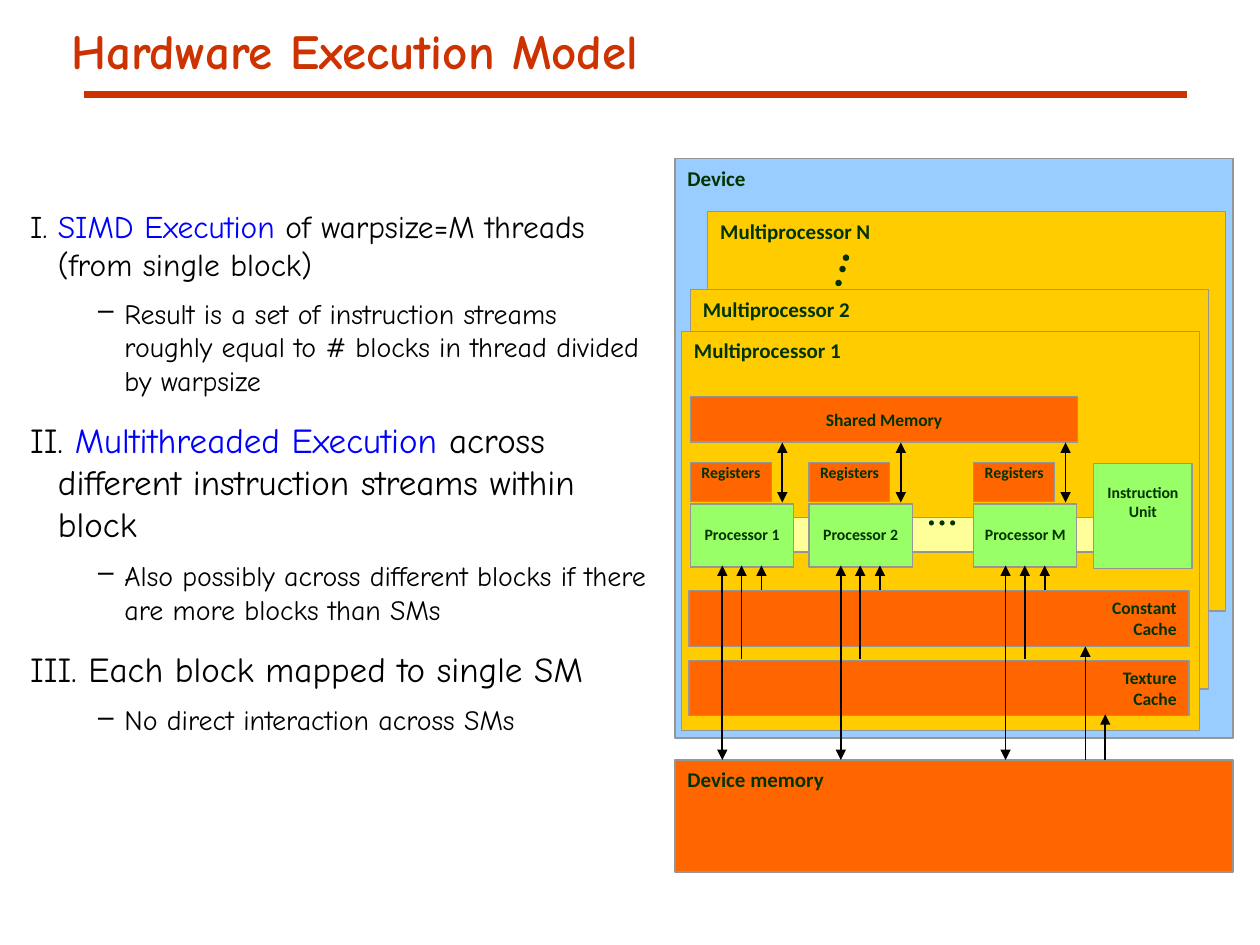
import dataclasses

import lxml.etree
import pptx
import pptx.dml.color
import pptx.enum.shapes
import pptx.enum.text
import pptx.oxml.ns
import pptx.util

Cm = pptx.util.Cm
Pt = pptx.util.Pt
Align = pptx.enum.text.PP_ALIGN
Shape = pptx.enum.shapes.MSO_SHAPE


@dataclasses.dataclass(frozen=True)
class Theme:
    accent: str = "CC3300"
    black: str = "000000"
    highlight: str = "0000FF"
    label: str = "003300"
    border: str = "969696"
    device: str = "99CCFF"
    multiprocessor: str = "FFCC00"
    memory: str = "FF6600"
    processor: str = "99FF66"
    bus: str = "FFFF99"
    text_font: str = "Comic Neue"
    label_font: str = "Calibri"
    ellipsis_font: str = "Times New Roman"
    title_size: int = 28
    first_topic_size: int = 18
    topic_size: int = 20
    detail_size: int = 16
    heading_size: int = 12
    memory_size: int = 10
    unit_size: int = 9
    ellipsis_size: int = 18


THEME = Theme()
HEADING_INSETS = (0.25, 0.13, 0.25, 0.13)


def rgb(value):
    return pptx.dml.color.RGBColor.from_string(value)


def add_xml(parent, tag, **attributes):
    return lxml.etree.SubElement(parent, pptx.oxml.ns.qn(tag), attributes)


def write_text(paragraph, text, *, size, font=THEME.text_font, color=THEME.black, bold=False):
    run = paragraph.add_run()
    run.text = text
    run.font.size = Pt(size)
    run.font.name = font
    run.font.bold = bold
    run.font.color.rgb = rgb(color)


def prepare_frame(shape, insets, anchor=pptx.enum.text.MSO_ANCHOR.TOP):
    frame = shape.text_frame
    frame.word_wrap = True
    frame.vertical_anchor = anchor
    frame.margin_left, frame.margin_top, frame.margin_right, frame.margin_bottom = map(Cm, insets)
    return frame


def add_text_box(slide, box, insets=(0, 0, 0, 0), **frame_format):
    return prepare_frame(slide.shapes.add_textbox(*map(Cm, box)), insets, **frame_format)


def add_block(slide, box, fill, label="", *, size=THEME.heading_size, align=Align.LEFT,
              insets=HEADING_INSETS, kind=Shape.RECTANGLE, border=THEME.border):
    shape = slide.shapes.add_shape(kind, *map(Cm, box))
    shape.shadow.inherit = False
    shape.fill.solid()
    shape.fill.fore_color.rgb = rgb(fill)
    if border:
        shape.line.color.rgb = rgb(border)
        shape.line.width = Pt(0.75)
    else:
        shape.line.fill.background()
    if not label:
        return
    frame = prepare_frame(shape, insets)
    for index, line in enumerate(label.split("\n")):
        paragraph = frame.add_paragraph() if index else frame.paragraphs[0]
        paragraph.alignment = align
        write_text(paragraph, line, size=size, font=THEME.label_font, color=THEME.label, bold=True)


def add_line(slide, start, end, *, color=THEME.black, width=1, ends=()):
    line = slide.shapes.add_connector(
        pptx.enum.shapes.MSO_CONNECTOR.STRAIGHT, *map(Cm, (*start, *end)))
    line.line.color.rgb = rgb(color)
    line.line.width = Pt(width)
    outline = line.line._get_or_add_ln()
    for end_name in ends:
        add_xml(outline, f"a:{end_name}", type="triangle")
    add_xml(line._element.spPr, "a:effectLst")


def add_arrow(slide, x, bottom, top, both=False):
    ends = ("headEnd", "tailEnd") if both else ("tailEnd",)
    add_line(slide, (x, bottom), (x, top), ends=ends)


def add_title(slide):
    add_line(slide, (1.7, 1.9), (23.93, 1.9), color=THEME.accent, width=3.75)
    frame = add_text_box(slide, (1.27, 0.48, 22.86, 1.22), (0.18, 0.08, 0.18, 0.08),
                         anchor=pptx.enum.text.MSO_ANCHOR.MIDDLE)
    frame.paragraphs[0].line_spacing = 0.87
    write_text(frame.paragraphs[0], "Hardware Execution Model",
               size=THEME.title_size, color=THEME.accent, bold=True)


def add_topic(paragraph, size, before, pieces):
    add_indent(paragraph, 0.56, -0.56)
    paragraph.space_before = Pt(before)
    for text, color in pieces:
        write_text(paragraph, text, size=size, color=color)


def add_detail(paragraph, text):
    properties = add_indent(paragraph, 1.9, -0.53)
    paragraph.level = 1
    paragraph.space_before = Pt(8)
    bullet_color = add_xml(properties, "a:buClr")
    add_xml(bullet_color, "a:srgbClr", val=THEME.black)
    add_xml(properties, "a:buChar", char="–")
    write_text(paragraph, text, size=THEME.detail_size)


def add_indent(paragraph, left, first):
    properties = paragraph._p.get_or_add_pPr()
    properties.set("marL", str(Cm(left)))
    properties.set("indent", str(Cm(first)))
    return properties


def add_outline(slide):
    topics = [
        (THEME.first_topic_size, 0,
         [("I. ", THEME.black), ("SIMD Execution ", THEME.highlight),
          ("of warpsize=M threads (from single block)", THEME.black)],
         "Result is a set of instruction streams roughly equal to # blocks in thread "
         "divided by warpsize"),
        (THEME.topic_size, 12.2,
         [("II. ", THEME.black), ("Multithreaded Execution ", THEME.highlight),
          ("across different instruction streams within block", THEME.black)],
         "Also possibly across different blocks if there are more blocks than SMs"),
        (THEME.topic_size, 12.2,
         [("III. Each block mapped to single SM", THEME.black)],
         "No direct interaction across SMs"),
    ]
    frame = add_text_box(slide, (0.43, 3.2, 12.9, 12.27), (0.18, 0.97, 0.18, 0.08))
    for index, (size, before, pieces, detail) in enumerate(topics):
        paragraph = frame.add_paragraph() if index else frame.paragraphs[0]
        add_topic(paragraph, size, before, pieces)
        add_detail(frame.add_paragraph(), detail)


def add_processor(slide, left, name):
    centered = {"size": THEME.unit_size, "align": Align.CENTER}
    add_block(slide, (left, 10.16, 2.08, 1.27), THEME.processor, f"Processor {name}",
              insets=(0, 0.41, 0, 0), **centered)
    add_block(slide, (left, 9.32, 1.63, 0.79), THEME.memory, "Registers",
              insets=(0, 0, 0, 0), **centered)
    add_arrow(slide, left + 1.85, 10.13, 8.92, both=True)


def add_device(slide):
    add_block(slide, (13.61, 3.2, 11.25, 11.68), THEME.device, "Device")
    for name, left, top in [("N", 14.27, 4.27), ("2", 13.92, 5.84), ("1", 13.74, 6.68)]:
        add_block(slide, (left, top, 10.44, 8.05), THEME.multiprocessor, f"Multiprocessor {name}")
    for left, top in [(16.84, 5.64), (16.92, 5.36), (16.99, 5.13)]:
        add_block(slide, (left, top, 0.13, 0.13), THEME.label, kind=Shape.OVAL, border=None)
    add_block(slide, (13.61, 15.32, 11.25, 2.26), THEME.memory, "Device memory")
    add_block(slide, (13.92, 8, 7.8, 0.91), THEME.memory, "Shared Memory",
              size=THEME.memory_size, align=Align.CENTER, insets=(0, 0.25, 0, 0))
    add_block(slide, (14.88, 10.44, 7.98, 0.69), THEME.bus)
    add_block(slide, (22.05, 9.35, 1.98, 2.11), THEME.processor, "Instruction\nUnit",
              size=THEME.unit_size, align=Align.CENTER, insets=(0, 0.38, 0, 0))
    for name, top in [("Constant", 11.91), ("Texture", 13.31)]:
        add_block(slide, (13.89, top, 10.08, 1.12), THEME.memory, f"{name}\nCache",
                  size=THEME.memory_size, align=Align.RIGHT)

    for name, left in [("1", 13.92), ("2", 16.31), ("M", 19.63)]:
        add_processor(slide, left, name)
        add_arrow(slide, left + 0.64, 15.32, 11.4, both=True)
        add_arrow(slide, left + 1.03, 13.28, 11.4)
        add_arrow(slide, left + 1.43, 11.89, 11.4)
    for x, top in [(21.88, 13.03), (22.28, 14.4)]:
        add_arrow(slide, x, 15.32, top)

    paragraph = add_text_box(slide, (18.31, 9.96, 1.37, 1.12)).paragraphs[0]
    paragraph.alignment = Align.CENTER
    write_text(paragraph, "…", size=THEME.ellipsis_size, font=THEME.ellipsis_font,
               color=THEME.label, bold=True)


def main():
    presentation = pptx.Presentation()
    presentation.slide_width = Cm(25.4)
    presentation.slide_height = Cm(19.05)
    slide = presentation.slides.add_slide(presentation.slide_layouts[6])
    add_title(slide)
    add_outline(slide)
    add_device(slide)
    presentation.save("out.pptx")


if __name__ == "__main__":
    main()
